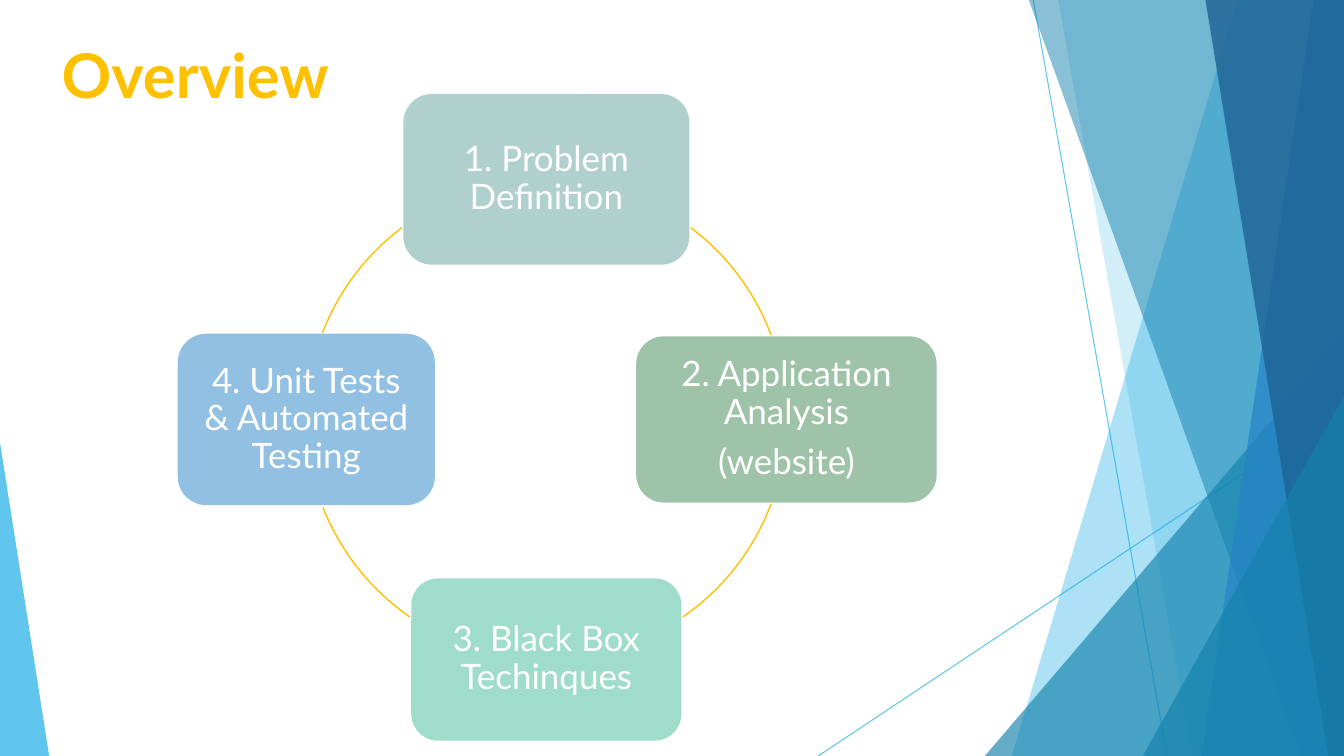
"""Builds the Overview slide: a four-step cycle beside a faceted blue border."""
from dataclasses import dataclass
from math import cos, radians, sin

from lxml.etree import SubElement
from pptx import Presentation
from pptx.dml.color import RGBColor
from pptx.enum.shapes import MSO_CONNECTOR as Connector, MSO_SHAPE as Shape
from pptx.enum.text import MSO_ANCHOR as Anchor, MSO_AUTO_SIZE as AutoSize, PP_ALIGN as Align
from pptx.oxml.ns import qn
from pptx.util import Cm, Pt


@dataclass(frozen=True)
class Theme:
    font: str = "Lato"
    title_size: int = 44
    step_size: int = 25
    gold: str = "FFC000"
    white: str = "FFFFFF"
    cyan: str = "1CADE4"
    teal: str = "1482AC"
    blue: str = "2683C6"
    navy: str = "1D6294"


@dataclass(frozen=True)
class Band:
    top_x: float
    bottom_x: float
    color: str
    opacity: int


@dataclass(frozen=True)
class Wedge:
    left: float
    top: float
    width: float
    color: str
    opacity: int
    apex: float


@dataclass(frozen=True)
class Ray:
    start: tuple[float, float]
    end: tuple[float, float]


@dataclass(frozen=True)
class Step:
    lines: tuple[str, ...]
    width: float
    height: float
    color: str
    arc_start: float
    arc_end: float


THEME = Theme()
PAGE_WIDTH, PAGE_HEIGHT = 33.87, 19.05
RING_X, RING_Y, RING_RADIUS = 13.77, 10.57, 6.05

RAYS = [
    Ray((26.04, 0), (29.41, PAGE_HEIGHT)),
    Ray((PAGE_WIDTH, 10.24), (20.62, PAGE_HEIGHT)),
]
FACETS = [
    Band(31.19, 25.5, THEME.cyan, 36),
    Band(26.67, 30.05, THEME.cyan, 20),
    Wedge(24.82, 8.46, 9.05, THEME.teal, 66, 1),
    Band(25.93, 32.79, THEME.teal, 50),
    Band(33.1, 30.28, THEME.blue, 70),
    Band(30.38, 33.48, THEME.navy, 80),
    Wedge(28.8, 9.98, 5.07, THEME.teal, 66, 1),
    Wedge(0, 11.15, 1.24, THEME.cyan, 70, 0),
]
STEPS = [
    Step(("1. Problem Definition",), 7.21, 4.3, "62A39F", 307, 339.4),
    Step(("2. Application Analysis", "(website)"), 7.57, 4.19, "3E8853", 20.6, 55.4),
    Step(("3. Black Box Techinques",), 6.81, 4.09, "42BA97", 124.6, 158.5),
    Step(("4. Unit Tests & Automated Testing",), 6.48, 4.32, THEME.blue, 201.2, 233),
]


def set_opacity(shape, percent: int) -> None:
    for color in shape._element.spPr.iter(qn("a:srgbClr")):
        SubElement(color, qn("a:alpha"), val=str(percent * 1000))


def paint(shape, color: str, opacity: int) -> None:
    shape.shadow.inherit = False
    shape.fill.solid()
    shape.fill.fore_color.rgb = RGBColor.from_string(color)
    shape.line.fill.background()
    set_opacity(shape, opacity)


def stroke(line, color: str, width: float) -> None:
    line.color.rgb = RGBColor.from_string(color)
    line.width = Pt(width)


def write(frame, lines: tuple[str, ...], *, size: int, color: str, bold: bool = False,
          align=Align.LEFT, anchor=Anchor.TOP, line_spacing: float = 1.0,
          space_after: float = 0) -> None:
    frame.word_wrap = True
    frame.auto_size = AutoSize.NONE
    frame.vertical_anchor = anchor
    for index, text in enumerate(lines):
        para = frame.add_paragraph() if index else frame.paragraphs[0]
        para.alignment = align
        para.line_spacing = line_spacing
        para.space_after = Pt(space_after)
        span = para.add_run()
        span.text = text
        span.font.name = THEME.font
        span.font.size = Pt(size)
        span.font.bold = bold
        span.font.color.rgb = RGBColor.from_string(color)


def draw_ray(page, ray: Ray) -> None:
    ends = [Cm(value) for value in (*ray.start, *ray.end)]
    connector = page.shapes.add_connector(Connector.STRAIGHT, *ends)
    stroke(connector.line, THEME.cyan, 0.75)
    set_opacity(connector, 70)
    SubElement(connector._element.spPr, qn("a:effectLst"))


def draw_facet(page, facet: Band | Wedge) -> None:
    if isinstance(facet, Band):
        outline = page.shapes.build_freeform(Cm(facet.top_x), 0)
        corners = [(PAGE_WIDTH, 0), (PAGE_WIDTH, PAGE_HEIGHT), (facet.bottom_x, PAGE_HEIGHT)]
        outline.add_line_segments([(Cm(x), Cm(y)) for x, y in corners], close=True)
        shape = outline.convert_to_shape()
    else:
        shape = page.shapes.add_shape(
            Shape.ISOSCELES_TRIANGLE, Cm(facet.left), Cm(facet.top),
            Cm(facet.width), Cm(PAGE_HEIGHT - facet.top))
        shape.adjustments[0] = facet.apex
    paint(shape, facet.color, facet.opacity)


def draw_step(page, step: Step, angle: float) -> None:
    center_x = RING_X + RING_RADIUS * cos(radians(angle))
    center_y = RING_Y + RING_RADIUS * sin(radians(angle))
    box = page.shapes.add_shape(
        Shape.ROUNDED_RECTANGLE, Cm(center_x - step.width / 2),
        Cm(center_y - step.height / 2), Cm(step.width), Cm(step.height))
    paint(box, step.color, 50)
    frame = box.text_frame
    frame.margin_left = frame.margin_right = Cm(0.46)
    frame.margin_top = frame.margin_bottom = Cm(0.46)
    write(frame, step.lines, size=THEME.step_size, color=THEME.white, align=Align.CENTER,
          anchor=Anchor.MIDDLE, line_spacing=0.9, space_after=8.75)


def draw_arc(page, step: Step) -> None:
    arc = page.shapes.add_shape(
        Shape.ARC, Cm(RING_X - RING_RADIUS), Cm(RING_Y - RING_RADIUS),
        Cm(2 * RING_RADIUS), Cm(2 * RING_RADIUS))
    arc.shadow.inherit = False
    arc.fill.background()
    arc.adjustments[0] = step.arc_start * 0.6
    arc.adjustments[1] = step.arc_end * 0.6
    stroke(arc.line, THEME.gold, 1)


def main() -> None:
    deck = Presentation()
    deck.slide_width, deck.slide_height = Cm(PAGE_WIDTH), Cm(PAGE_HEIGHT)
    page = deck.slides.add_slide(deck.slide_layouts.get_by_name("Title Only"))
    for ray in RAYS:
        draw_ray(page, ray)
    for facet in FACETS:
        draw_facet(page, facet)
    title = page.shapes.title
    title.left, title.top, title.width, title.height = Cm(1.3), Cm(0.81), Cm(23.88), Cm(3.66)
    write(title.text_frame, ("Overview",), size=THEME.title_size, color=THEME.gold, bold=True)
    for index, step in enumerate(STEPS):
        draw_step(page, step, index * 90 - 90)
        draw_arc(page, step)
    deck.save("out.pptx")


if __name__ == "__main__":
    main()
